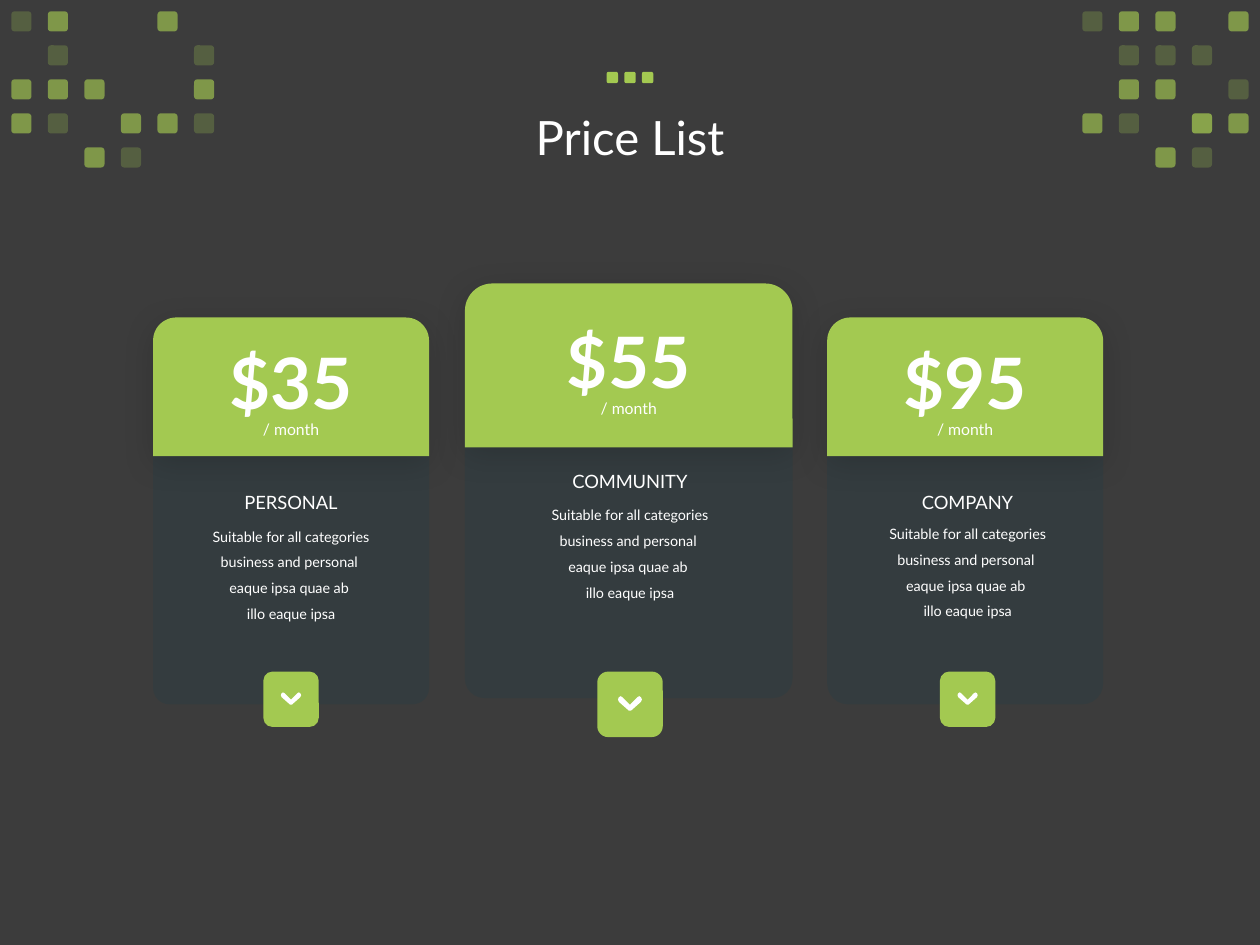
"""Build the price list slide."""
from lxml import etree
from pptx import Presentation
from pptx.dml.color import RGBColor
from pptx.enum.shapes import MSO_SHAPE
from pptx.enum.text import MSO_ANCHOR, PP_ALIGN
from pptx.oxml.ns import qn
from pptx.util import Inches, Pt

ROUND = MSO_SHAPE.ROUNDED_RECTANGLE
ROUND_TOP = MSO_SHAPE.ROUND_2_SAME_RECTANGLE
TOP, MIDDLE = MSO_ANCHOR.TOP, MSO_ANCHOR.MIDDLE
CENTER = PP_ALIGN.CENTER
GREEN = RGBColor(0xA3, 0xC9, 0x51)
SLATE = RGBColor(0x31, 0x3C, 0x41)
CHARCOAL = RGBColor(0x3C, 0x3C, 0x3C)
WHITE = RGBColor(0xFF, 0xFF, 0xFF)

DETAILS = [
    "Suitable for all categories business and personal ",
    "eaque ipsa quae ab ",
    "illo eaque ipsa",
]
SIDE = dict(width=2.19, head=(2.52, 1.1), body=(3.25, 2.34), text_top=2.64, button=0.44)
MAIN = dict(width=2.6, head=(2.25, 1.3), body=(2.87, 2.67), text_top=2.47, button=0.52)
CARDS = [
    dict(SIDE, price="$35", name="PERSONAL", cx=2.31, lower_cx=2.31, radius=0.059, gap=1.44),
    dict(MAIN, price="$55", name="COMMUNITY", cx=4.99, lower_cx=5, radius=0.059, gap=1.44),
    dict(SIDE, price="$95", name="COMPANY", cx=7.66, lower_cx=7.68, radius=0.075, gap=1.42),
]
ALPHAS = {"d": [25], "l": [65], "b": [65, 25], ".": []}
LEFT_MOSAIC = ["dl..l.", ".d...d", "lll..l", "ld.lld", "..ld.."]
RIGHT_MOSAIC = ["dll.l", ".ddd.", ".ll.d", "ld.bl", "..ld."]
CHEVRON_HALF = [(7.3, 9.7), (0.6, 3.8), (0, 2.3), (0.5, 0.8), (1.7, 0), (2.9, 0.6)]


class Deck:
    """Hold the style and the current slide."""

    font = "Lato"

    def __init__(self):
        self.prs = Presentation()
        self.prs.slide_width, self.prs.slide_height = Inches(10), Inches(7.5)
        self.s = self.prs.slides.add_slide(self.prs.slide_layouts[6])
        self.s.background.fill.solid()
        self.s.background.fill.fore_color.rgb = CHARCOAL

    def paint(self, sp, color, alpha=None):
        sp.shadow.inherit = False
        sp.fill.solid()
        sp.fill.fore_color.rgb = color
        sp.line.fill.background()
        if alpha:
            clr = sp._element.spPr.find(".//" + qn("a:srgbClr"))
            etree.SubElement(clr, qn("a:alpha"), val=str(alpha * 1000))

    def shape(self, kind, x, y, w, h, color, alpha=None, radius=None, parent=None):
        shapes = (parent or self.s).shapes
        sp = shapes.add_shape(kind, Inches(x), Inches(y), Inches(w), Inches(h))
        self.paint(sp, color, alpha)
        if radius:
            sp.adjustments[0] = radius
        return sp

    def drop_shadow(self, sp):
        effects = sp._element.spPr.find(qn("a:effectLst"))
        shadow = etree.SubElement(
            effects, qn("a:outerShdw"), blurRad=str(Pt(19)), dist=str(Pt(4)),
            dir="5400000", algn="t", rotWithShape="0")
        clr = etree.SubElement(shadow, qn("a:srgbClr"), val="000000")
        etree.SubElement(clr, qn("a:alpha"), val="15000")

    def text(self, lines, cx, y, w, h, size, bold=False, spacing=None,
             inset=(0.07, 0.04), anchor=TOP):
        box = self.s.shapes.add_textbox(Inches(cx - w / 2), Inches(y), Inches(w), Inches(h))
        tf = box.text_frame
        tf.word_wrap = True
        tf.vertical_anchor = anchor
        tf.margin_left = tf.margin_right = Inches(inset[0])
        tf.margin_top = tf.margin_bottom = Inches(inset[1])
        for i, line in enumerate(lines):
            p = tf.add_paragraph() if i else tf.paragraphs[0]
            p.alignment = CENTER
            if spacing:
                p.line_spacing = spacing
            r = p.add_run()
            r.text = line
            r.font.name, r.font.size, r.font.bold = self.font, Pt(size), bold
            r.font.color.rgb = WHITE

    def chevron(self, cx, cy, w):
        unit = w / 16
        half = CHEVRON_HALF
        outline = half + [(8, 5.8)] + [(16 - x, y) for x, y in reversed(half)]
        points = [(Inches(cx + (x - 8) * unit), Inches(cy + (y - 5) * unit))
                  for x, y in outline]
        builder = self.s.shapes.build_freeform(*points[0])
        builder.add_line_segments(points[1:], close=True)
        self.paint(builder.convert_to_shape(), WHITE)

    def mosaic(self, rows, left):
        group = self.s.shapes.add_group_shape()
        for j, row in enumerate(rows):
            for i, mark in enumerate(row):
                for alpha in ALPHAS[mark]:
                    self.shape(ROUND, left + 0.29 * i, 0.09 + 0.27 * j, 0.16, 0.16,
                               GREEN, alpha, parent=group)

    def dots(self):
        group = self.s.shapes.add_group_shape()
        for i in range(3):
            self.shape(ROUND, 4.815 + 0.14 * i, 0.57, 0.09, 0.09, GREEN, parent=group)

    def card(self, price, name, cx, lower_cx, radius, gap, width, head, body,
             text_top, button):
        left = cx - width / 2
        self.shape(ROUND, left, body[0], width, body[1], SLATE, 65, radius)
        self.drop_shadow(self.shape(ROUND_TOP, left, head[0], width, head[1], GREEN))
        self.text([price], cx, text_top, 1.3, 0.78, 40.5, bold=True, inset=(0.1, 0.05))
        self.text(["/ month"], cx, text_top + 0.58, 0.83, 0.27, 9, spacing=1.5)
        self.text(DETAILS, lower_cx, text_top + gap, 1.58, 0.88, 8.2, spacing=1.5)
        self.text([name], lower_cx, text_top + 1.22, 1.44, 0.25, 10.5)
        self.shape(ROUND, lower_cx - button / 2, 5.33, button, button, GREEN)
        self.chevron(lower_cx, 5.33 + 0.49 * button, 0.365 * button)


def main():
    deck = Deck()
    deck.text(["Price List"], 5, 0.39, 8.62, 1.45, 27, spacing=0.9,
              inset=(0.1, 0.05), anchor=MIDDLE)
    for card in CARDS:
        deck.card(**card)
    deck.mosaic(LEFT_MOSAIC, 0.09)
    deck.mosaic(RIGHT_MOSAIC, 8.59)
    deck.dots()
    deck.prs.save("out.pptx")


if __name__ == "__main__":
    main()
